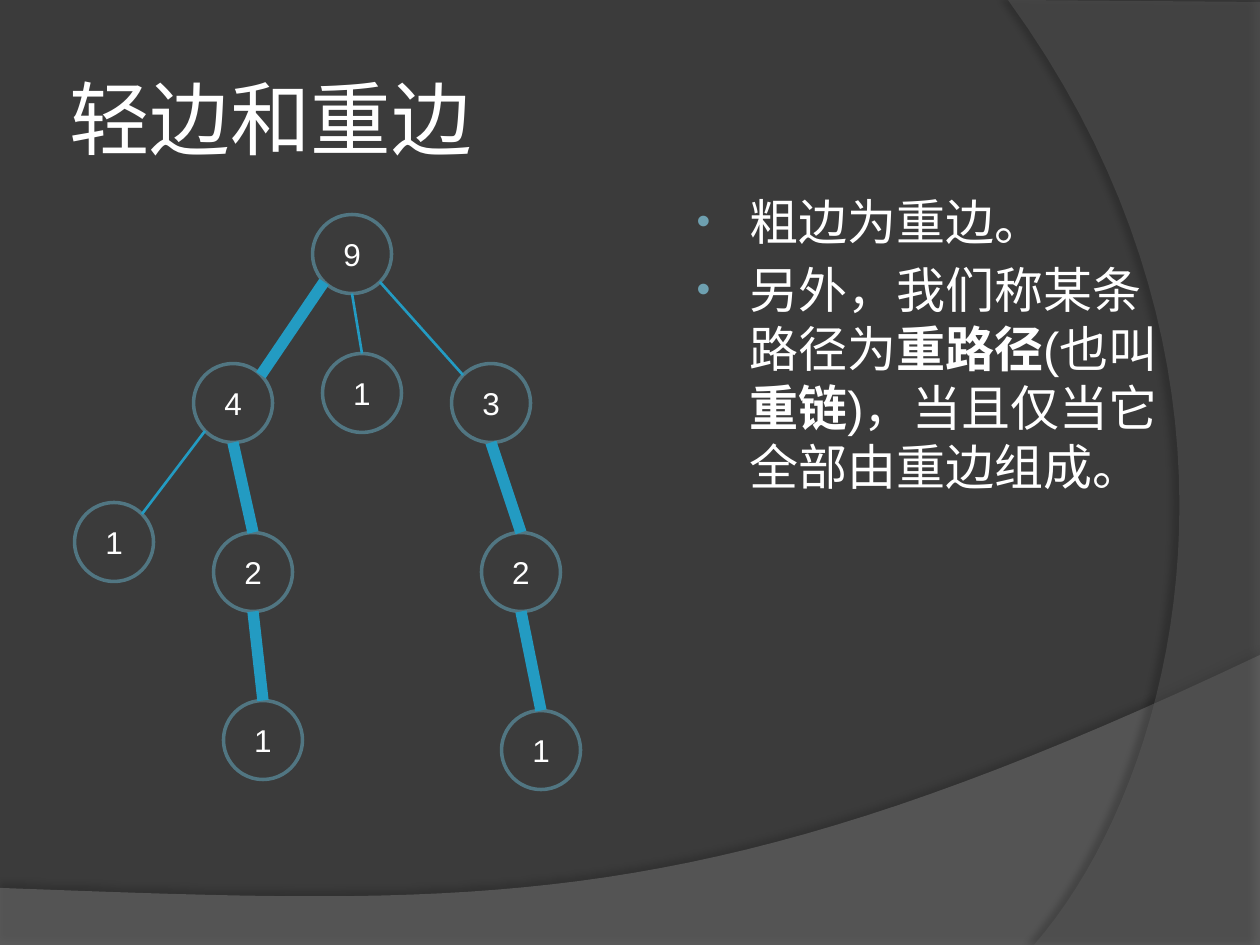
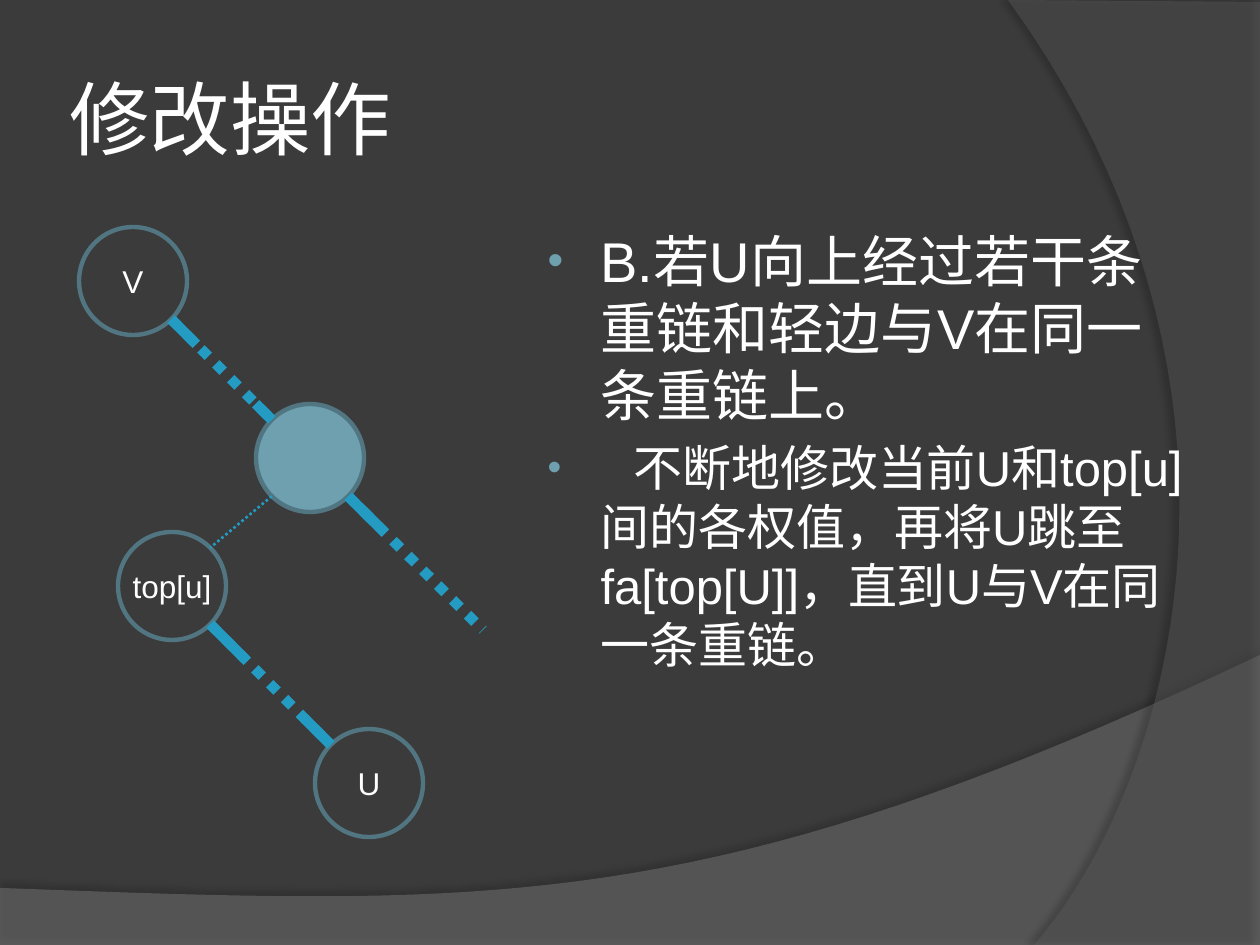
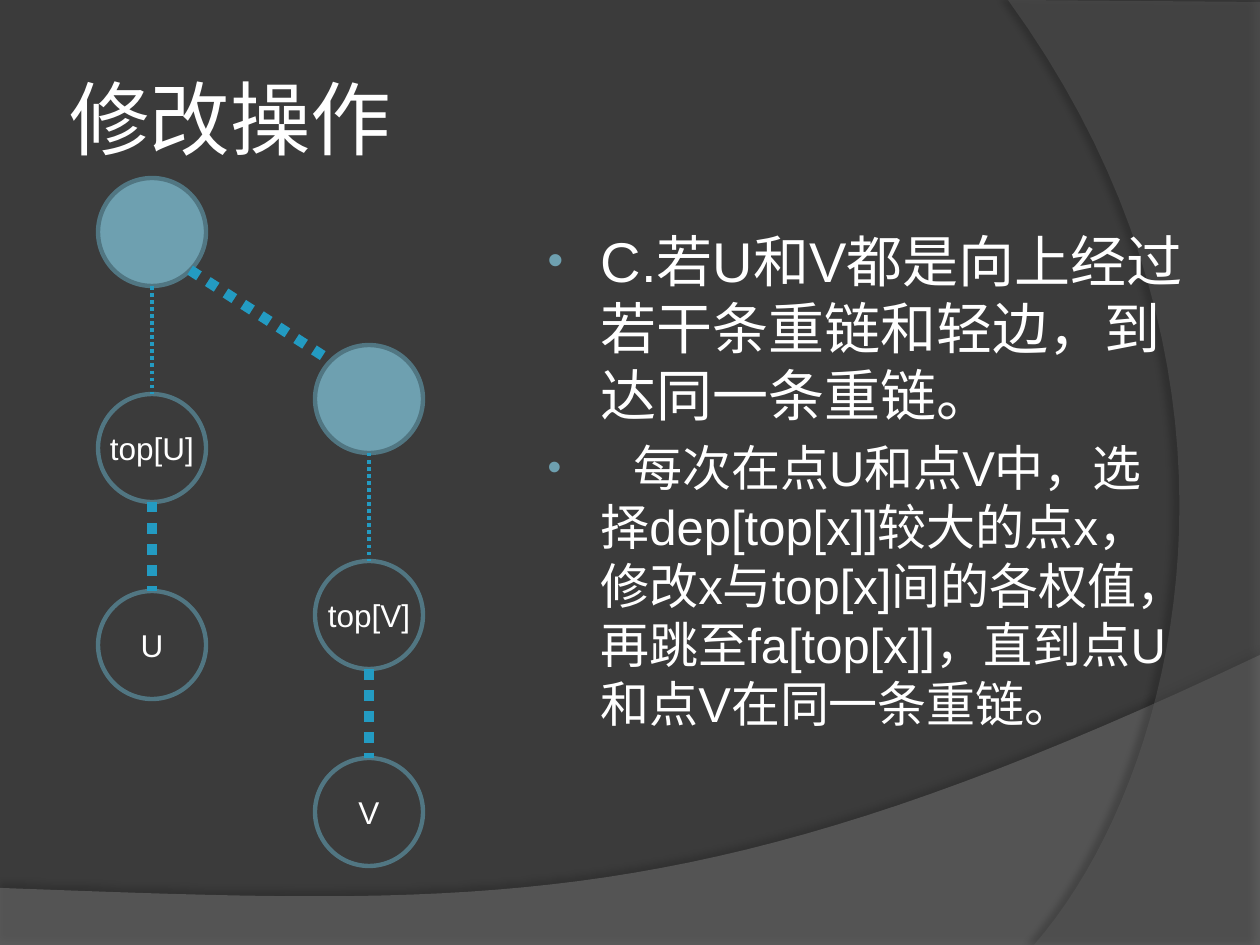
from dataclasses import dataclass

from lxml import etree
from pptx import Presentation
from pptx import util as u
from pptx.dml.color import RGBColor
from pptx.enum import dml, shapes, text
from pptx.oxml.ns import qn


@dataclass(frozen=True)
class Theme:
    background: str = "3B3B3B"
    ink: str = "FFFFFF"
    accent: str = "6EA0B0"
    ring: str = "517682"
    edge: str = "239BC2"
    title_font: str = "Roboto"
    body_font: str = "Arial"
    title_size: int = 46
    node_size: int = 18


theme = Theme()
SCALE = 914400 / 126  # EMU in one pixel


def px(n):
    return u.Emu(round(n * SCALE))


def add_run(p, words, font, size, bold=False):
    r = p.add_run()
    r.text = words
    r.font.name = font
    r.font.size = u.Pt(size)
    r.font.bold = bold
    r.font.color.rgb = RGBColor.from_string(theme.ink)
    return r


# Points on a circle, in units of its radius
D = 0.707
SITES = {"t": (0, -1), "b": (0, 1), "tl": (-D, -D), "tr": (D, -D),
         "bl": (-D, D), "br": (D, D), "c": (0, 0)}

# Each node: centre x, centre y, label; "" is a filled circle, None a bare end point.
# Each edge: node, site, node, site, width, dotted, solid stretches of a dotted edge.
LIGHT, HEAVY, CHAIN = 1.5, 6.5, 6
INDENT = "\u2002"  # first-line indent of a list item

slides = [
    dict(
        title="轻边和重边",
        body_box=(679, 185, 504, 624),
        body=[(28, [("粗边为重边。", False)]),
              (28, [("另外，我们称某条路径为", False), ("重路径", True), ("(也叫", False),
                    ("重链", True), (")，当且仅当它全部由重边组成。", False)])],
        diameter=79, ring=2,
        nodes=dict(root=(352, 254, "9"), middle=(362, 393, "1"),
                   left=(233, 403, "4"), right=(491, 403, "3"),
                   left_leaf=(114, 542, "1"), left_child=(253, 572, "2"),
                   right_child=(521, 572, "2"), right_end=(541, 750, "1"),
                   left_end=(263, 740, "1")),
        edges=[("left", "bl", "left_leaf", "tr", LIGHT, False, []),
               ("root", "b", "middle", "t", LIGHT, False, []),
               ("root", "br", "right", "tl", LIGHT, False, []),
               ("root", "bl", "left", "tr", HEAVY, False, []),
               ("left", "b", "left_child", "t", HEAVY, False, []),
               ("left_child", "b", "left_end", "t", HEAVY, False, []),
               ("right", "b", "right_child", "t", HEAVY, False, []),
               ("right_child", "b", "right_end", "t", HEAVY, False, [])],
    ),
    dict(
        title="修改操作",
        body_box=(530, 220, 667, 649),
        body=[(32, [("B.若U向上经过若干条重链和轻边与V在同一条重链上。", False)]),
              (28, [(INDENT, False),
                    ("不断地修改当前U和top[u]间的各权值，再将U跳至fa[top[U]]，"
                     "直到U与V在同一条重链。", False)])],
        diameter=108, ring=2.5,
        nodes=dict(v=(133, 281, "V"), join=(310, 458, ""), top=(172, 586, "top[u]"),
                   u=(369, 783, "U"), chain_end=(483, 630, None)),
        edges=[("v", "br", "join", "tl", CHAIN, True, [(0, 0.25), (0.84, 1)]),
               ("join", "br", "chain_end", "c", CHAIN, True, [(0, 0.27)]),
               ("top", "br", "u", "tl", CHAIN, True, [(0, 0.29), (0.78, 1)]),
               ("join", "bl", "top", "tr", LIGHT, True, [])],
    ),
    dict(
        title="修改操作",
        body_box=(530, 220, 667, 624),
        body=[(32, [("C.若U和V都是向上经过若干条重链和轻边，到达同一条重链。", False)]),
              (28, [(INDENT, False),
                    ("每次在点U和点V中，选择dep[top[x]]较大的点x，修改x与top[x]间的各权值，"
                     "再跳至fa[top[x]]，直到点U和点V在同一条重链。", False)])],
        diameter=108, ring=2.5,
        nodes=dict(root=(152, 232, ""), top_u=(152, 448, "top[U]"), u=(152, 645, "U"),
                   join=(369, 399, ""), top_v=(369, 615, "top[V]"), v=(369, 812, "V")),
        edges=[("root", "br", "join", "tl", CHAIN, True, []),
               ("root", "b", "top_u", "t", 2, True, []),
               ("top_u", "b", "u", "t", CHAIN, True, []),
               ("join", "b", "top_v", "t", 2, True, []),
               ("top_v", "b", "v", "t", CHAIN, True, [])],
    ),
]

prs = Presentation()
prs.slide_width, prs.slide_height = px(1260), px(945)
master = prs.slide_master
layout = prs.slide_layouts[1]

# Master: background and list style
master.background.fill.solid()
master.background.fill.fore_color.rgb = RGBColor.from_string(theme.background)
level = master.element.find(".//" + qn("p:bodyStyle")).find(qn("a:lvl1pPr"))
level.set("marL", str(px(58)))
level.set("indent", str(px(-53)))
bullet_font = level.find(qn("a:buFont"))
bullet_colour = etree.Element(qn("a:buClr"))
etree.SubElement(bullet_colour, qn("a:srgbClr"), val=theme.accent)
bullet_font.addprevious(bullet_colour)
bullet_font.addprevious(etree.Element(qn("a:buSzPct"), val="80000"))

# Layout: title position
title = layout.placeholders[0]
title.left, title.top, title.width, title.height = px(63), px(38), px(1029), px(158)

pages = [prs.slides.add_slide(layout) for _ in slides]

# Curved bands, drawn once and moved to the master:
# straight corners, Bezier curve, colour, opacity, shadow opacity, distance, direction
bands = [
    ([(0, 888), (0, 946), (1260, 946)],
     [(1260, 655), (704, 919), (493, 906), (0, 888)], "7F7F7F", 45, 35, 3.5, 270),
    ([(1260, 2), (1260, 945)],
     [(1034, 945), (1178, 780), (1283, 378), (1008, 0)], "5E5E5E", 40, 45, 4, 180),
]
STEPS = 40
for i, (corners, curve, colour, opacity, dark, distance, direction) in enumerate(bands):
    points = list(corners)
    for step in range(STEPS + 1):
        t = step / STEPS
        weights = ((1 - t) ** 3, 3 * t * (1 - t) ** 2, 3 * t * t * (1 - t), t ** 3)
        points.append([sum(w * c[axis] for w, c in zip(weights, curve)) for axis in (0, 1)])
    points = [(px(x), px(y)) for x, y in points]
    builder = pages[0].shapes.build_freeform(*points[0])
    builder.add_line_segments(points[1:], close=True)
    sp = builder.convert_to_shape()
    sp.fill.solid()
    sp.fill.fore_color.rgb = RGBColor.from_string(colour)
    sp.line.fill.background()
    fill_colour = sp.element.spPr.find(qn("a:solidFill")).find(qn("a:srgbClr"))
    etree.SubElement(fill_colour, qn("a:alpha"), val=str(opacity * 1000))
    effects = etree.SubElement(sp.element.spPr, qn("a:effectLst"))
    shadow = etree.SubElement(effects, qn("a:outerShdw"), blurRad=str(u.Pt(4)),
                              dist=str(u.Pt(distance)), dir=str(direction * 60000),
                              algn="ctr", rotWithShape="0")
    black = etree.SubElement(shadow, qn("a:srgbClr"), val="000000")
    etree.SubElement(black, qn("a:alpha"), val=str(dark * 1000))
    master.shapes.element.insert(2 + i, sp.element)

for slide, data in zip(pages, slides):
    # Title
    tf = slide.shapes.title.text_frame
    tf.auto_size = text.MSO_AUTO_SIZE.NONE
    tf.vertical_anchor = text.MSO_ANCHOR.MIDDLE
    tf.margin_left = tf.margin_right = u.Inches(0.05)
    p = tf.paragraphs[0]
    p.alignment = text.PP_ALIGN.LEFT
    add_run(p, data["title"], theme.title_font, theme.title_size)

    # List
    body = slide.placeholders[1]
    body.left, body.top, body.width, body.height = map(px, data["body_box"])
    tf = body.text_frame
    tf.auto_size = text.MSO_AUTO_SIZE.NONE
    for i, (size, runs) in enumerate(data["body"]):
        p = tf.add_paragraph() if i else tf.paragraphs[0]
        for words, bold in runs:
            r = add_run(p, words, theme.body_font, size, bold)
            if words == INDENT:
                r.font._element.set("spc", "480")

    # Tree nodes
    radius = data["diameter"] / 2
    for x, y, label in data["nodes"].values():
        if label is None:
            continue
        sp = slide.shapes.add_shape(shapes.MSO_SHAPE.OVAL, px(x - radius), px(y - radius),
                                    px(2 * radius), px(2 * radius))
        sp.shadow.inherit = False
        sp.line.color.rgb = RGBColor.from_string(theme.ring)
        sp.line.width = u.Pt(data["ring"])
        if not label:
            sp.fill.solid()
            sp.fill.fore_color.rgb = RGBColor.from_string(theme.accent)
            continue
        sp.fill.background()
        tf = sp.text_frame
        tf.word_wrap = False
        tf.vertical_anchor = text.MSO_ANCHOR.MIDDLE
        p = tf.paragraphs[0]
        p.alignment = text.PP_ALIGN.CENTER
        add_run(p, label, theme.body_font, theme.node_size)

    # Tree edges, each followed by its solid stretches
    for start, start_site, end, end_site, width, dotted, solid in data["edges"]:
        (x1, y1), (x2, y2) = [
            [data["nodes"][node][axis] + radius * SITES[site][axis] for axis in (0, 1)]
            for node, site in ((start, start_site), (end, end_site))]
        for a, b, dots in [(0, 1, dotted)] + [(a, b, False) for a, b in solid]:
            line = slide.shapes.add_connector(
                shapes.MSO_CONNECTOR.STRAIGHT,
                px(x1 + a * (x2 - x1)), px(y1 + a * (y2 - y1)),
                px(x1 + b * (x2 - x1)), px(y1 + b * (y2 - y1)))
            line.line.color.rgb = RGBColor.from_string(theme.edge)
            line.line.width = u.Pt(width)
            if dots:
                line.line.dash_style = dml.MSO_LINE.ROUND_DOT
            etree.SubElement(line.element.spPr, qn("a:effectLst"))

prs.save("out.pptx")
